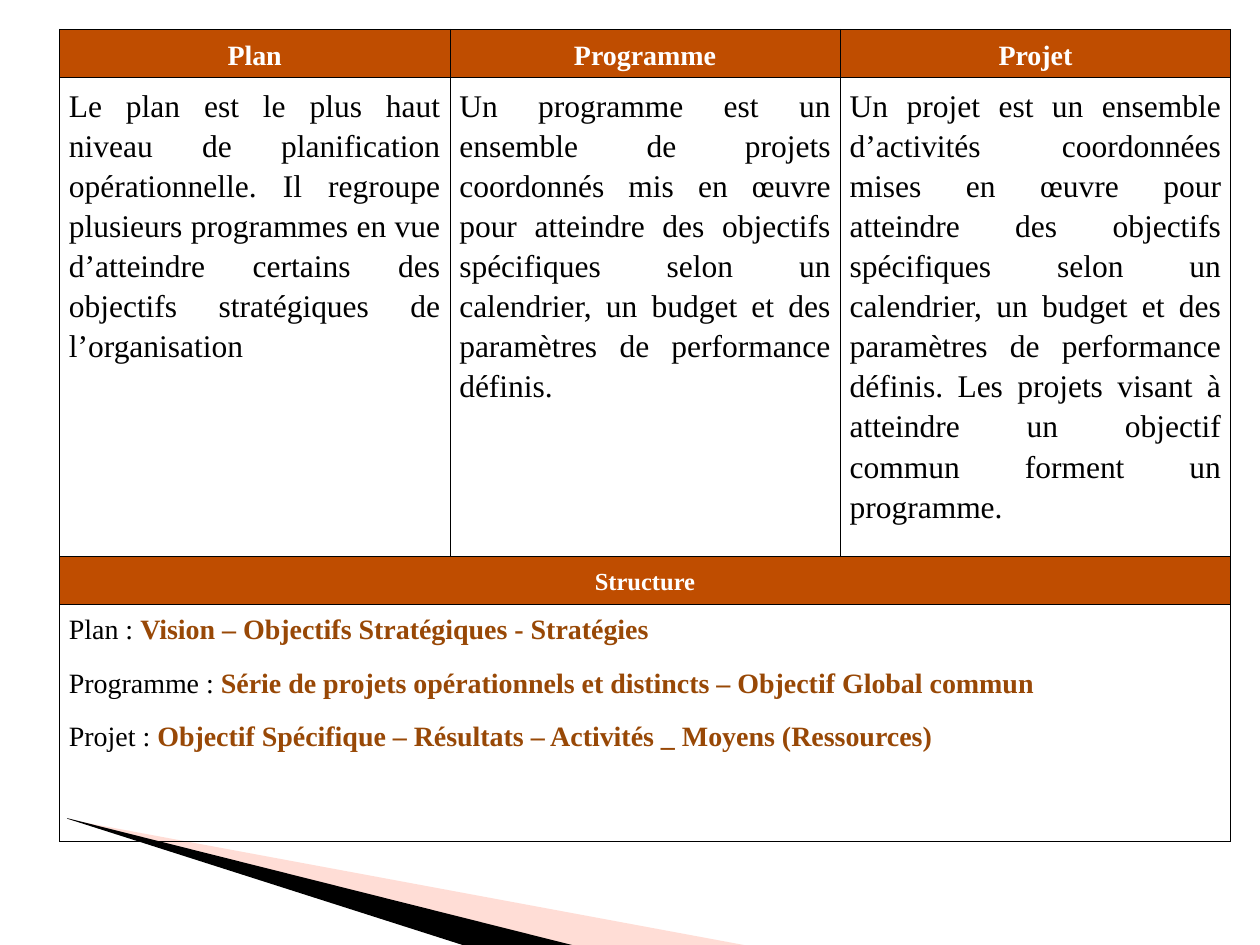
from lxml.etree import SubElement
from pptx import Presentation
from pptx.dml.color import RGBColor
from pptx.enum.text import MSO_ANCHOR, PP_ALIGN
from pptx.oxml.ns import qn
from pptx.util import Pt

THEME = {
    "font": "Times New Roman",
    "header": "BF4D00",
    "accent": "984806",
    "light": "FFFFFF",
    "dark": "000000",
    "wedge": "FFAC99",
    "heading_size": 16,
    "body_size": 18,
    "band_size": 14,
    "border": 0.45,
}

DEFINITIONS = [
    ("Plan",
     "Le plan est le plus haut niveau de planification opérationnelle. Il regroupe plusieurs "
     "programmes en vue d’atteindre certains des objectifs stratégiques de l’organisation"),
    ("Programme",
     "Un programme est un ensemble de projets coordonnés mis en œuvre pour atteindre des "
     "objectifs spécifiques selon un calendrier, un budget et des paramètres de performance définis."),
    ("Projet",
     "Un projet est un ensemble d’activités coordonnées mises en œuvre pour atteindre des "
     "objectifs spécifiques selon un calendrier, un budget et des paramètres de performance définis. "
     "Les projets visant à atteindre un objectif commun forment un programme."),
]
BAND = "Structure"
STRUCTURE = [
    ("Plan : ", "Vision – Objectifs Stratégiques - Stratégies"),
    ("Programme : ", "Série de projets opérationnels et distincts – Objectif Global commun"),
    ("Projet : ", "Objectif Spécifique – Résultats – Activités _ Moyens (Ressources)"),
]

TABLE_LEFT, TABLE_TOP, COLUMN_WIDTH = 34, 16.7, 223.1
ROW_HEIGHTS = [27.7, 273.4, 27.4, 135.4]
WEDGES = [
    ([(39.6, 468.4), (428.4, 540.6), (328.4, 540.6), (39.6, 468)], "wedge", 40),
    ([(38.2, 467.5), (329, 540.6), (268, 541.2), (38.8, 468)], "dark", 100),
]


def color(name):
    """Return the theme colour of that name."""
    return RGBColor.from_string(THEME[name])


def add_wedge(page, points, fill, opacity):
    """Draw one closed decorative wedge."""
    corners = [(Pt(x), Pt(y)) for x, y in points]
    builder = page.shapes.build_freeform(*corners[0])
    builder.add_line_segments(corners[1:], close=True)
    wedge = builder.convert_to_shape()
    wedge.shadow.inherit = False
    wedge.line.fill.background()
    wedge.fill.solid()
    wedge.fill.fore_color.rgb = color(fill)
    if opacity < 100:
        tint = wedge.fill._xPr.find(qn("a:solidFill"))[0]
        SubElement(tint, qn("a:alpha"), val=str(opacity * 1000))


def frame_cell(cell, fill=None):
    """Give a cell its margins, borders and fill."""
    cell.margin_left = cell.margin_right = Pt(5.4)
    cell.margin_top = cell.margin_bottom = Pt(3.6)
    properties = cell._tc.get_or_add_tcPr()
    for side in ("lnL", "lnR", "lnT", "lnB"):
        border = SubElement(properties, qn(f"a:{side}"), w=str(Pt(THEME["border"])))
        ink = SubElement(border, qn("a:solidFill"))
        SubElement(ink, qn("a:srgbClr"), val=THEME["dark"])
    if fill:
        cell.fill.solid()
        cell.fill.fore_color.rgb = color(fill)
    else:
        cell.fill.background()


def write_cell(cell, paragraphs, size, align):
    """Write paragraphs of (text, colour, bold) spans into a cell."""
    frame = cell.text_frame
    for index, spans in enumerate(paragraphs):
        para = frame.add_paragraph() if index else frame.paragraphs[0]
        para.alignment = align
        para.line_spacing = 1.15
        para.space_after = Pt(10)
        for text, ink, bold in spans:
            span = para.add_run()
            span.text = text
            span.font.name = THEME["font"]
            span.font.size = Pt(THEME[size])
            span.font.bold = bold
            span.font.color.rgb = color(ink)


def add_comparison(page):
    """Build the table of definitions and structure."""
    columns = len(DEFINITIONS)
    table = page.shapes.add_table(
        len(ROW_HEIGHTS), columns, Pt(TABLE_LEFT), Pt(TABLE_TOP),
        Pt(COLUMN_WIDTH * columns), Pt(sum(ROW_HEIGHTS))).table
    table.first_row = table.horz_banding = False
    for column in table.columns:
        column.width = Pt(COLUMN_WIDTH)
    for index, height in enumerate(ROW_HEIGHTS):
        table.rows[index].height = Pt(height)
        for column in range(columns):
            frame_cell(table.cell(index, column), None if index % 2 else "header")
    for index in (2, 3):
        table.cell(index, 0).merge(table.cell(index, columns - 1))

    for column, (heading, body) in enumerate(DEFINITIONS):
        write_cell(table.cell(0, column), [[(heading, "light", True)]],
                   "heading_size", PP_ALIGN.CENTER)
        write_cell(table.cell(1, column), [[(body, "dark", False)]],
                   "body_size", PP_ALIGN.JUSTIFY)
    band = table.cell(2, 0)
    band.vertical_anchor = MSO_ANCHOR.MIDDLE
    write_cell(band, [[(BAND, "light", True)]], "band_size", PP_ALIGN.CENTER)
    lines = [[(label, "dark", False), (detail, "accent", True)] for label, detail in STRUCTURE]
    write_cell(table.cell(3, 0), lines, "heading_size", PP_ALIGN.JUSTIFY)


def main():
    """Build and save the slide."""
    deck = Presentation()
    deck.slide_width, deck.slide_height = Pt(720), Pt(540)
    page = deck.slides.add_slide(deck.slide_layouts[6])
    for points, fill, opacity in WEDGES:
        add_wedge(page, points, fill, opacity)
    add_comparison(page)
    deck.save("out.pptx")


if __name__ == "__main__":
    main()
